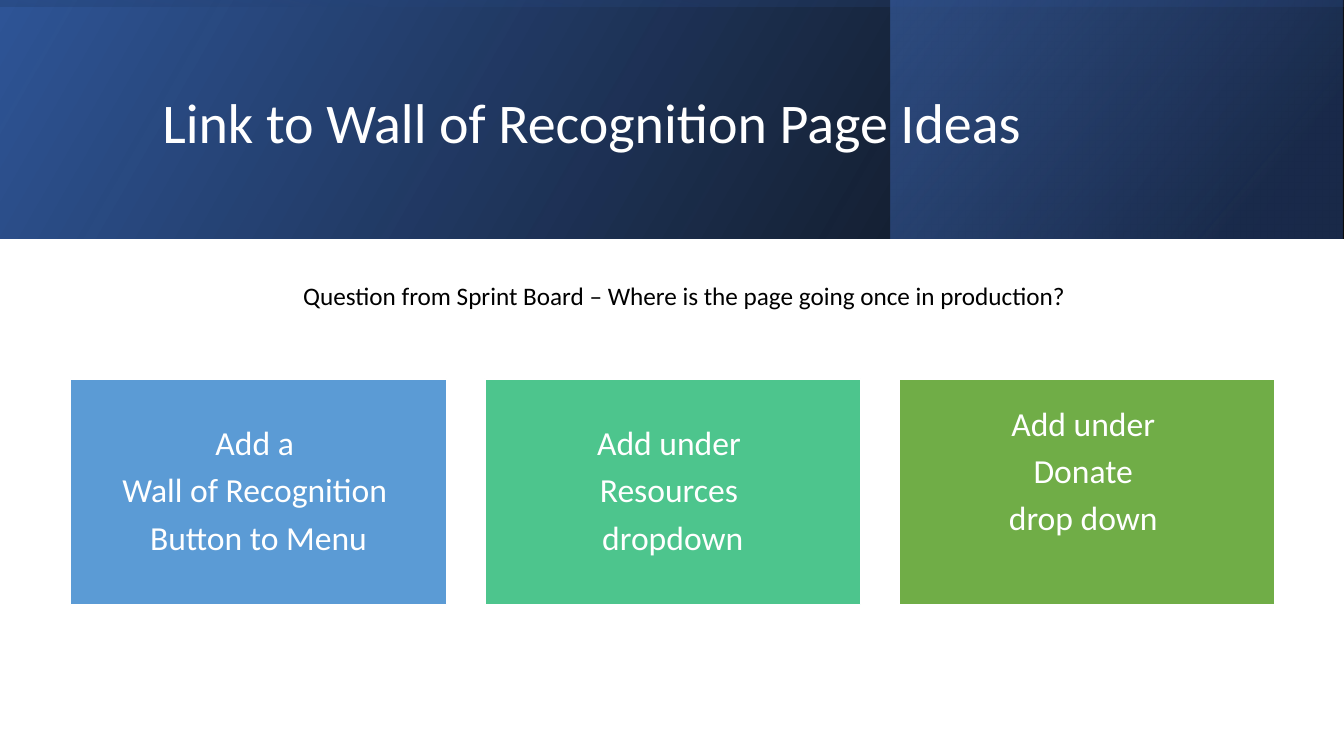
from lxml.etree import SubElement
from pptx import Presentation
from pptx.dml.color import RGBColor
from pptx.enum.shapes import MSO_SHAPE
from pptx.enum.text import MSO_ANCHOR, MSO_AUTO_SIZE, PP_ALIGN
from pptx.oxml.ns import qn
from pptx.util import Cm, Pt

WHITE = RGBColor(0xFF, 0xFF, 0xFF)
BLACK = RGBColor(0x00, 0x00, 0x00)
NAVY = RGBColor(0x20, 0x38, 0x64)
DEEP_BLUE = RGBColor(0x2F, 0x55, 0x97)
MID_BLUE = RGBColor(0x44, 0x72, 0xC4)
SKY = RGBColor(0x5B, 0x9B, 0xD5)
MINT = RGBColor(0x4D, 0xC5, 0x8D)
GREEN = RGBColor(0x70, 0xAD, 0x47)

SLIDE_W, SLIDE_H, BANNER_H = 33.87, 19.05, 6.02


class SlideBuilder:
    """Holds the font and the current slide; lengths are in centimetres."""

    def __init__(self, slide, font="Calibri"):
        self.slide = slide
        self.font = font

    def rect(self, left, top, width, height):
        s = self.slide.shapes.add_shape(
            MSO_SHAPE.RECTANGLE, Cm(left), Cm(top), Cm(width), Cm(height))
        s.shadow.inherit = False
        return s

    def gradient(self, left, top, width, height, stops, angle, rotation=0):
        """Mirrored gradient panel; stops are (position, colour, opacity %)."""
        s = self.rect(left, top, width, height)
        s.line.fill.background()
        s.rotation = rotation
        s._element.spPr.find(qn("a:xfrm")).set("flipH", "1")
        s.fill.gradient()
        s.fill.gradient_angle = angle
        for stop, (position, color, opacity) in zip(s.fill.gradient_stops, stops):
            stop.position = position
            stop.color.rgb = color
        clrs = s._element.spPr.iter(qn("a:srgbClr"))
        for clr, (position, color, opacity) in zip(clrs, stops):
            SubElement(clr, qn("a:alpha")).set("val", str(opacity * 1000))

    def add_lines(self, tf, lines, size, color, align=PP_ALIGN.LEFT, spacing=1.0, after=0):
        for i, line in enumerate(lines):
            p = tf.add_paragraph() if i else tf.paragraphs[0]
            p.alignment = align
            p.line_spacing = spacing
            p.space_after = Pt(after)
            r = p.add_run()
            r.text = line
            r.font.name = self.font
            r.font.size = Pt(size)
            r.font.color.rgb = color

    def text(self, left, top, width, height, line, size, color,
             anchor=MSO_ANCHOR.TOP, wrap=True, spacing=1.0):
        sp = self.slide.shapes.add_textbox(Cm(left), Cm(top), Cm(width), Cm(height))
        tf = sp.text_frame
        tf.word_wrap = wrap
        tf.auto_size = MSO_AUTO_SIZE.NONE if wrap else MSO_AUTO_SIZE.SHAPE_TO_FIT_TEXT
        tf.vertical_anchor = anchor
        self.add_lines(tf, [line], size, color, spacing=spacing)

    def card(self, left, top, width, height, fill, lines, bottom_inset):
        s = self.rect(left, top, width, height)
        s.fill.solid()
        s.fill.fore_color.rgb = fill
        s.line.color.rgb = WHITE
        s.line.width = Pt(1)
        tf = s.text_frame
        tf.word_wrap = True
        tf.vertical_anchor = MSO_ANCHOR.MIDDLE
        tf.margin_left = tf.margin_right = tf.margin_top = Cm(0.25)
        tf.margin_bottom = Cm(bottom_inset)
        self.add_lines(tf, lines, 24, WHITE, PP_ALIGN.CENTER, spacing=0.9, after=8)


def main():
    prs = Presentation()
    prs.slide_width, prs.slide_height = Cm(SLIDE_W), Cm(SLIDE_H)
    b = SlideBuilder(prs.slides.add_slide(prs.slide_layouts[6]))

    # Banner: base, right panel, and a turned overlay spanning the full width
    b.gradient(0, 0, SLIDE_W, BANNER_H,
               [(0, BLACK, 96), (1, DEEP_BLUE, 100)], angle=30)
    b.gradient(22.45, 0, 11.38, BANNER_H,
               [(0.19, NAVY, 68), (1, MID_BLUE, 48)], angle=40)
    offset = (SLIDE_W - BANNER_H) / 2
    b.gradient(offset, -offset, BANNER_H, SLIDE_W,
               [(0.23, DEEP_BLUE, 16), (0.99, BLACK, 45)], angle=10, rotation=270)

    # Title and question
    b.text(3.84, 0.97, 27, 4.37, "Link to Wall of Recognition Page Ideas", 40, WHITE,
           anchor=MSO_ANCHOR.MIDDLE, spacing=0.9)
    b.text(7.39, 6.93, 19.89, 1.02,
           "Question from Sprint Board – Where is the page going once in production?",
           18, BLACK, wrap=False)

    # Idea cards; the last one has its text set higher
    cards = [
        (SKY, ["Add a ", "Wall of Recognition ", "Button to Menu"], 0.25),
        (MINT, ["Add under ", "Resources ", "dropdown"], 0.25),
        (GREEN, ["Add under ", "Donate ", "drop down "], 1.22),
    ]
    for i, (fill, lines, bottom_inset) in enumerate(cards):
        b.card(1.78 + i * 10.44, 9.55, 9.47, 5.69, fill, lines, bottom_inset)

    prs.save("out.pptx")


if __name__ == "__main__":
    main()
